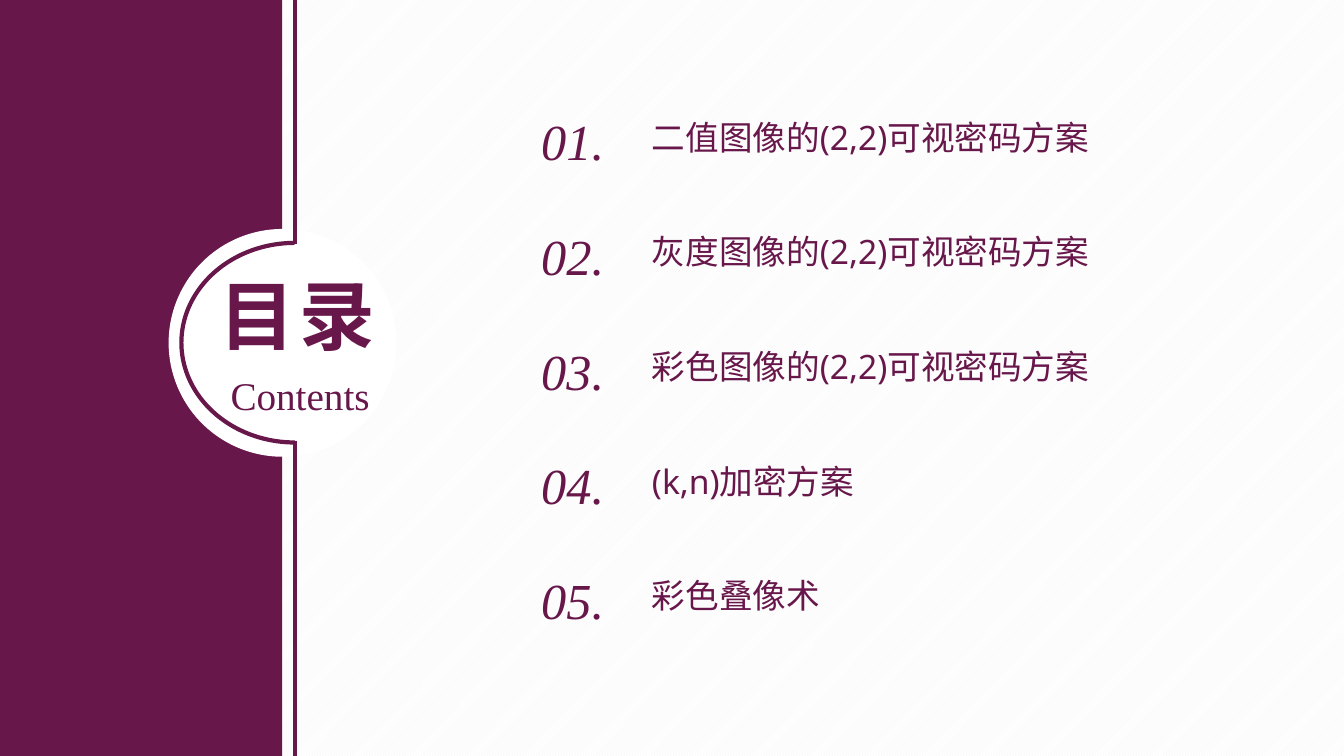
from lxml import etree
from pptx import Presentation
from pptx.dml.color import RGBColor
from pptx.enum.dml import MSO_PATTERN
from pptx.enum.shapes import MSO_CONNECTOR, MSO_SHAPE
from pptx.enum.text import MSO_AUTO_SIZE
from pptx.oxml.ns import qn
from pptx.util import Cm, Pt

DIAGONAL = MSO_PATTERN.LIGHT_UPWARD_DIAGONAL
RECTANGLE, OVAL, ARC = MSO_SHAPE.RECTANGLE, MSO_SHAPE.OVAL, MSO_SHAPE.ARC
STRAIGHT = MSO_CONNECTOR.STRAIGHT
GROW = MSO_AUTO_SIZE.SHAPE_TO_FIT_TEXT

# Content: chapter title and width of its box in cm
CHAPTERS = [
    ("二值图像的(2,2)可视密码方案", 11.96),
    ("灰度图像的(2,2)可视密码方案", 11.63),
    ("彩色图像的(2,2)可视密码方案", 11.71),
    ("(k,n)加密方案", 6.02),
    ("彩色叠像术", 4.75),
]
TITLE, SUBTITLE = "目录", "Contents"

COLORS = {"plum": "68174B", "white": "FFFFFF", "stripe": "F2F2F2"}
SANS, SERIF = "Noto Sans", "Times New Roman"

# Layout in cm
WIDTH, HEIGHT = 33.87, 19.05
PANEL_WIDTH = 7.11
NUMBER_LEFT, CHAPTER_LEFT = 13.39, 16.18
FIRST_TOP, ROW_STEP, CHAPTER_DROP = 2.66, 2.89, 0.15
RULE_X = 7.44
RULES = [(0, 6.15), (11.1, HEIGHT)]

prs = Presentation()
prs.slide_width, prs.slide_height = Cm(WIDTH), Cm(HEIGHT)
slide = prs.slides.add_slide(prs.slide_layouts[6])


def color(name):
    return RGBColor.from_string(COLORS[name])


def add_text(text, left, top, width, height, *, size, font, bold=False,
             italic=False, wrap=True, spacing=0):
    box = slide.shapes.add_textbox(Cm(left), Cm(top), Cm(width), Cm(height))
    frame = box.text_frame
    frame.word_wrap = wrap
    frame.auto_size = GROW
    run = frame.paragraphs[0].add_run()
    run.text = text
    run.font.size, run.font.name = Pt(size), font
    run.font.bold, run.font.italic = bold, italic
    run.font.color.rgb = color("plum")
    properties = run._r.get_or_add_rPr()
    etree.SubElement(properties, qn("a:ea")).set("typeface", font)
    if spacing:
        properties.set("spc", str(spacing * 100))


def add_shape(kind, left, top, width, height, fill=None, line=None):
    shape = slide.shapes.add_shape(kind, Cm(left), Cm(top), Cm(width), Cm(height))
    shape.shadow.inherit = False
    if fill:
        shape.fill.solid()
        shape.fill.fore_color.rgb = color(fill)
    else:
        shape.fill.background()
    if line:
        shape.line.color.rgb = color(line)
        shape.line.width = Pt(3)
    else:
        shape.line.fill.background()
    return shape


# Striped background
backdrop = slide.background.fill
backdrop.patterned()
backdrop.pattern = DIAGONAL
backdrop.fore_color.rgb = color("stripe")
backdrop.back_color.rgb = color("white")

# Side panel
add_shape(RECTANGLE, 0, 0, PANEL_WIDTH, HEIGHT, fill="plum")

# Chapter list
for index, (chapter, chapter_width) in enumerate(CHAPTERS):
    top = FIRST_TOP + index * ROW_STEP
    add_text(f"{index + 1:02}.", NUMBER_LEFT, top, 2.46, 1.8,
             size=36, font=SERIF, italic=True)
    add_text(chapter, CHAPTER_LEFT, top + CHAPTER_DROP, chapter_width, 1.27,
             size=24, font=SANS)

# Badge with its half ring
add_shape(OVAL, 4.25, 5.77, 5.74, 5.74, fill="white")
ring = add_shape(ARC, 4.57, 6.12, 5.72, 5.03, line="plum")
ring.adjustments[0], ring.adjustments[1] = 162, 53.86
ring.rotation = 180
add_text(TITLE, 5.28, 6.65, 4.57, 2.57, size=54, font=SANS, bold=True,
         wrap=False, spacing=3)
add_text(SUBTITLE, 5.56, 9.22, 4.06, 1.45, size=28, font=SERIF, wrap=False)

# Vertical rules above and below the badge
for start, end in RULES:
    rule = slide.shapes.add_connector(STRAIGHT, Cm(RULE_X), Cm(start),
                                      Cm(RULE_X), Cm(end))
    rule.line.color.rgb = color("plum")
    rule.line.width = Pt(3)
    etree.SubElement(rule._element.spPr, qn("a:effectLst"))

prs.save("out.pptx")
